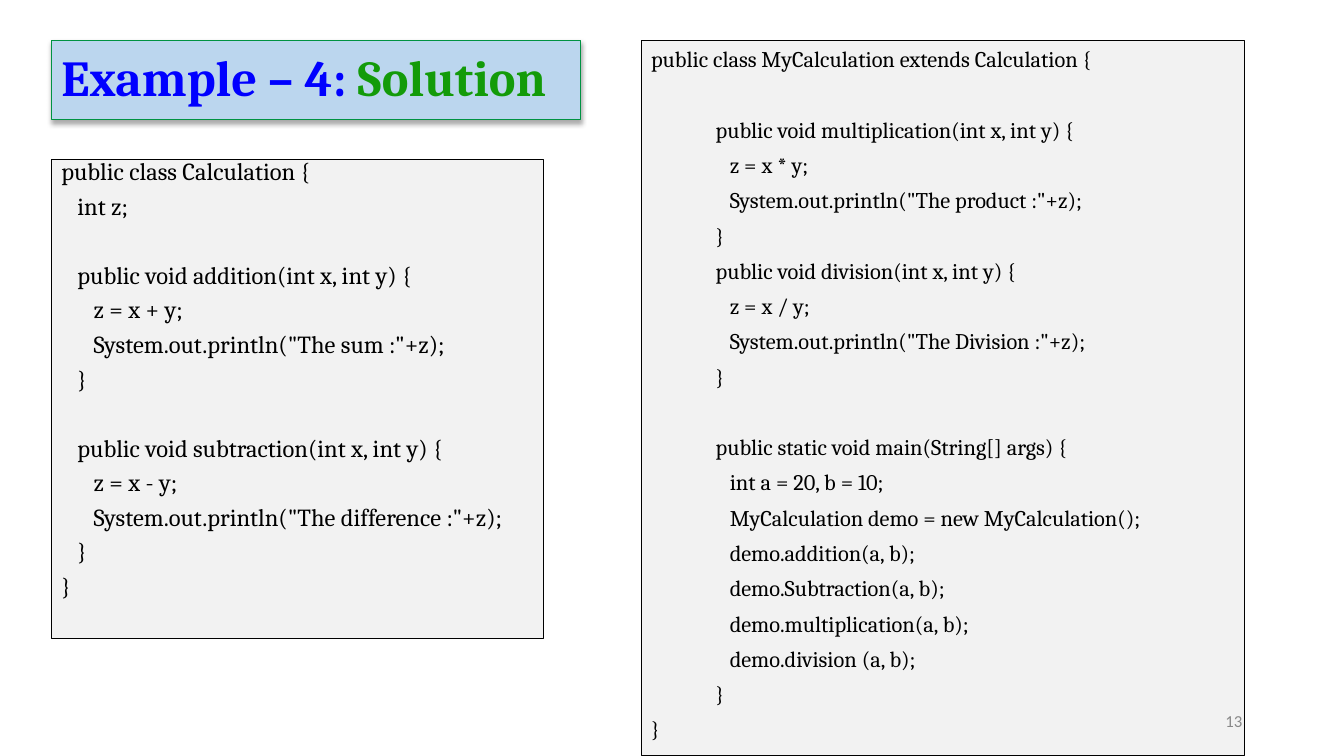
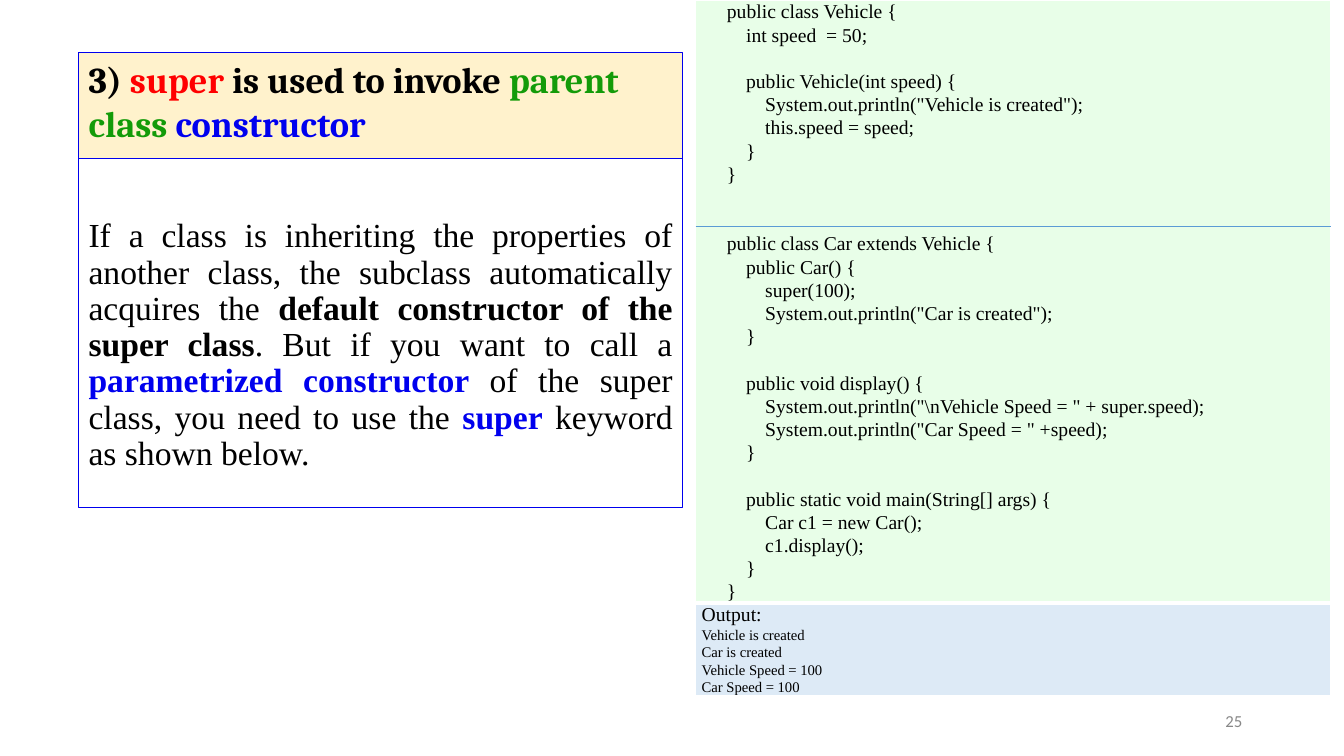
from lxml import etree
from pptx import Presentation
from pptx.dml.color import RGBColor
from pptx.enum.shapes import MSO_CONNECTOR, MSO_SHAPE
from pptx.enum.text import MSO_ANCHOR, MSO_AUTO_SIZE, PP_ALIGN
from pptx.oxml.ns import qn
from pptx.util import Inches, Pt

RECTANGLE = MSO_SHAPE.RECTANGLE
STRAIGHT = MSO_CONNECTOR.STRAIGHT
TOP, MIDDLE = MSO_ANCHOR.TOP, MSO_ANCHOR.MIDDLE
LEFT, RIGHT, JUSTIFY = PP_ALIGN.LEFT, PP_ALIGN.RIGHT, PP_ALIGN.JUSTIFY
FIXED = MSO_AUTO_SIZE.NONE
TITLE_ONLY = 5

SERIF, BODY, SANS = "Cambria", "Times New Roman", "Calibri"
BLACK, WHITE, GRAY = "000000", "FFFFFF", "888888"
BLUE, GREEN, RED = "0000EE", "139B09", "FF0000"
CODE_FILL = "F2F2F2"
INDENT_SPACES = 4

CALCULATION = """\
public class Calculation {
    int z;

    public void addition(int x, int y) {
        z = x + y;
        System.out.println("The sum :"+z);
    }

    public void subtraction(int x, int y) {
        z = x - y;
        System.out.println("The difference :"+z);
    }
}"""

MY_CALCULATION = """\
public class MyCalculation extends Calculation {

    public void multiplication(int x, int y) {
        z = x * y;
        System.out.println("The product :"+z);
    }
    public void division(int x, int y) {
        z = x / y;
        System.out.println("The Division :"+z);
    }

    public static void main(String[] args) {
        int a = 20, b = 10;
        MyCalculation demo = new MyCalculation();
        demo.addition(a, b);
        demo.Subtraction(a, b);
        demo.multiplication(a, b);
        demo.division (a, b);
    }
}"""

VEHICLE = """\
public class Vehicle {
    int speed  = 50;

    public Vehicle(int speed) {
        System.out.println("Vehicle is created");
        this.speed = speed;
    }
}


public class Car extends Vehicle {
    public Car() {
        super(100);
        System.out.println("Car is created");
    }

    public void display() {
        System.out.println("\\nVehicle Speed = " + super.speed);
        System.out.println("Car Speed = " +speed);
    }

    public static void main(String[] args) {
        Car c1 = new Car();
        c1.display();
    }
}"""

OUTPUT = ["Output:", "Vehicle is created", "Car is created",
          "Vehicle Speed = 100", "Car Speed = 100"]


def color(value):
    return RGBColor.from_string(value)


def style_font(font, name, size, ink=BLACK, bold=False):
    font.name = name
    font.size = Pt(size)
    font.bold = bold
    font.color.rgb = color(ink)


def style_frame(frame, anchor=TOP):
    frame.word_wrap = True
    frame.auto_size = FIXED
    frame.vertical_anchor = anchor
    frame.margin_left = frame.margin_right = Inches(0.1)
    frame.margin_top = frame.margin_bottom = Inches(0.05)


def style_box(box, fill, line):
    if fill:
        box.fill.solid()
        box.fill.fore_color.rgb = color(fill)
    else:
        box.fill.background()
    box.line.color.rgb = color(line)
    box.line.width = Pt(0.75)


def place(shape, bounds):
    shape.left, shape.top, shape.width, shape.height = map(Inches, bounds)


def write_spans(para, spans, name, size):
    for text, ink, bold in spans:
        span = para.add_run()
        span.text = text
        style_font(span.font, name, size, ink, bold)


def write_code(frame, code, name, size, spacing, before, pitch, lead, step,
               outer=0):
    blanks = 0
    para = None
    for line in code.splitlines():
        text = line.lstrip()
        if not text:
            blanks += 1
            continue
        depth = (len(line) - len(text)) // INDENT_SPACES
        gap = before if para is not None else 0
        para = frame.paragraphs[0] if para is None else frame.add_paragraph()
        para.text = text
        para.alignment = LEFT
        para.line_spacing = spacing
        para.space_before = Pt(gap + blanks * pitch)
        indent = lead + depth * step if depth else outer
        properties = para._p.get_or_add_pPr()
        properties.set("marL", str(Inches(indent)))
        properties.set("indent", "0")
        style_font(para.runs[0].font, name, size)
        blanks = 0


def add_box(page, bounds, fill, line):
    box = page.shapes.add_shape(RECTANGLE, *map(Inches, bounds))
    box.shadow.inherit = False
    style_box(box, fill, line)
    style_frame(box.text_frame)
    return box


def add_title(page, bounds, spans, size, fill, line, spacing, anchor):
    title = page.shapes.title
    place(title, bounds)
    style_box(title, fill, line)
    style_frame(title.text_frame, anchor)
    para = title.text_frame.paragraphs[0]
    para.alignment = LEFT
    para.line_spacing = spacing
    write_spans(para, spans, SERIF, size)
    return title


def add_drop_shadow(shape):
    effects = etree.SubElement(shape._element.spPr, qn("a:effectLst"))
    shadow = etree.SubElement(effects, qn("a:outerShdw"), blurRad=str(Pt(3.5)),
                              dist=str(Pt(2.2)), dir="5400000", rotWithShape="0")
    tint = etree.SubElement(shadow, qn("a:srgbClr"), val=BLACK)
    etree.SubElement(tint, qn("a:alpha"), val="32000")


def add_page_number(page, number):
    box = page.shapes.add_textbox(*map(Inches, (9.42, 6.95, 3, 0.4)))
    style_frame(box.text_frame, MIDDLE)
    para = box.text_frame.paragraphs[0]
    para.text = str(number)
    para.alignment = RIGHT
    style_font(para.runs[0].font, SANS, 12, GRAY)


def add_divider(page, left, top, width):
    divider = page.shapes.add_connector(
        STRAIGHT, Inches(left), Inches(top), Inches(left + width), Inches(top))
    divider.line.color.rgb = color("5B9BD5")
    divider.line.width = Pt(0.75)
    etree.SubElement(divider._element.spPr, qn("a:effectLst"))


def style_cell(cell, fill, bottom):
    cell.fill.solid()
    cell.fill.fore_color.rgb = color(fill)
    cell.margin_left = cell.margin_right = Inches(0.06)
    cell.margin_top = cell.margin_bottom = 0
    properties = cell._tc.get_or_add_tcPr()
    edges = (("a:lnL", 1), ("a:lnR", 1), ("a:lnT", 1), ("a:lnB", bottom))
    for position, (edge, width) in enumerate(edges):
        border = etree.Element(qn(edge), w=str(Pt(width)))
        paint = etree.SubElement(border, qn("a:solidFill"))
        etree.SubElement(paint, qn("a:srgbClr"), val=WHITE)
        properties.insert(position, border)


def add_code_table(page, left, top, width, heights):
    table = page.shapes.add_table(2, 1, *map(Inches, (left, top, width, sum(heights)))).table
    table.first_row = table.horz_banding = False
    table.columns[0].width = Inches(width)
    for row, height in zip(table.rows, heights):
        row.height = Inches(height)
    code_cell, output_cell = table.cell(0, 0), table.cell(1, 0)
    style_cell(code_cell, "E8FEE8", 3)
    style_cell(output_cell, "DDEAF6", 1)
    write_code(code_cell.text_frame, VEHICLE, BODY, 14, 1.07, 0, 16.6,
               0.25, 0.19, 0.25)
    frame = output_cell.text_frame
    frame.text = "\n".join(OUTPUT)
    for index, para in enumerate(frame.paragraphs):
        para.line_spacing = 1.07
        style_font(para.runs[0].font, BODY, 10.5 if index else 14)
    add_divider(page, left, top + 2.25, width)


def add_explanation(page, bounds):
    box = add_box(page, bounds, None, BLUE)
    box.text_frame.margin_top = Inches(0.6)
    para = box.text_frame.paragraphs[0]
    para.alignment = JUSTIFY
    para.line_spacing = 0.9
    write_spans(para, [
        ("If a class is inheriting the properties of another class, the "
         "subclass automatically acquires the ", BLACK, False),
        ("default constructor of the super class", BLACK, True),
        (". But if you want to call a ", BLACK, False),
        ("parametrized constructor ", BLUE, True),
        ("of the super class, you need to use the ", BLACK, False),
        ("super", BLUE, True),
        (" keyword as shown below.", BLACK, False),
    ], BODY, 24)


def build_solution(page):
    left_code = add_box(page, (0.51, 1.58, 4.88, 4.76), CODE_FILL, BLACK)
    write_code(left_code.text_frame, CALCULATION, SERIF, 17.5, 0.7, 10, 24.7,
               0, 0.16)
    right_code = add_box(page, (6.36, 0.4, 5.98, 7.1), CODE_FILL, BLACK)
    write_code(right_code.text_frame, MY_CALCULATION, SERIF, 16, 1, 6, 25.2,
               0.5, 0.14)
    title = add_title(page, (0.51, 0.4, 5.25, 0.79), [
        ("Example – 4: ", "0000FF", True),
        ("Solution", GREEN, True),
    ], 36, "BBD6EE", "009242", 0.9, MIDDLE)
    add_drop_shadow(title)
    add_page_number(page, 13)


def build_super_constructor(page):
    left, top, width, height = 0.78, 0.52, 5.99, 1.05
    add_title(page, (left, top, width, height), [
        ("3) ", BLACK, True),
        ("super", RED, True),
        (" is used to invoke ", BLACK, True),
        ("parent class ", GREEN, True),
        ("constructor", BLUE, True),
    ], 25.9, "FFF2CC", BLUE, 1, TOP)
    add_code_table(page, 6.9, 0, 6.3, (5.97, 0.92))
    add_explanation(page, (left, top + height, width, 3.47))
    add_page_number(page, 25)


def main():
    deck = Presentation()
    deck.slide_width, deck.slide_height = Inches(13.33), Inches(7.5)
    for build in (build_solution, build_super_constructor):
        build(deck.slides.add_slide(deck.slide_layouts[TITLE_ONLY]))
    deck.save("out.pptx")


if __name__ == "__main__":
    main()
